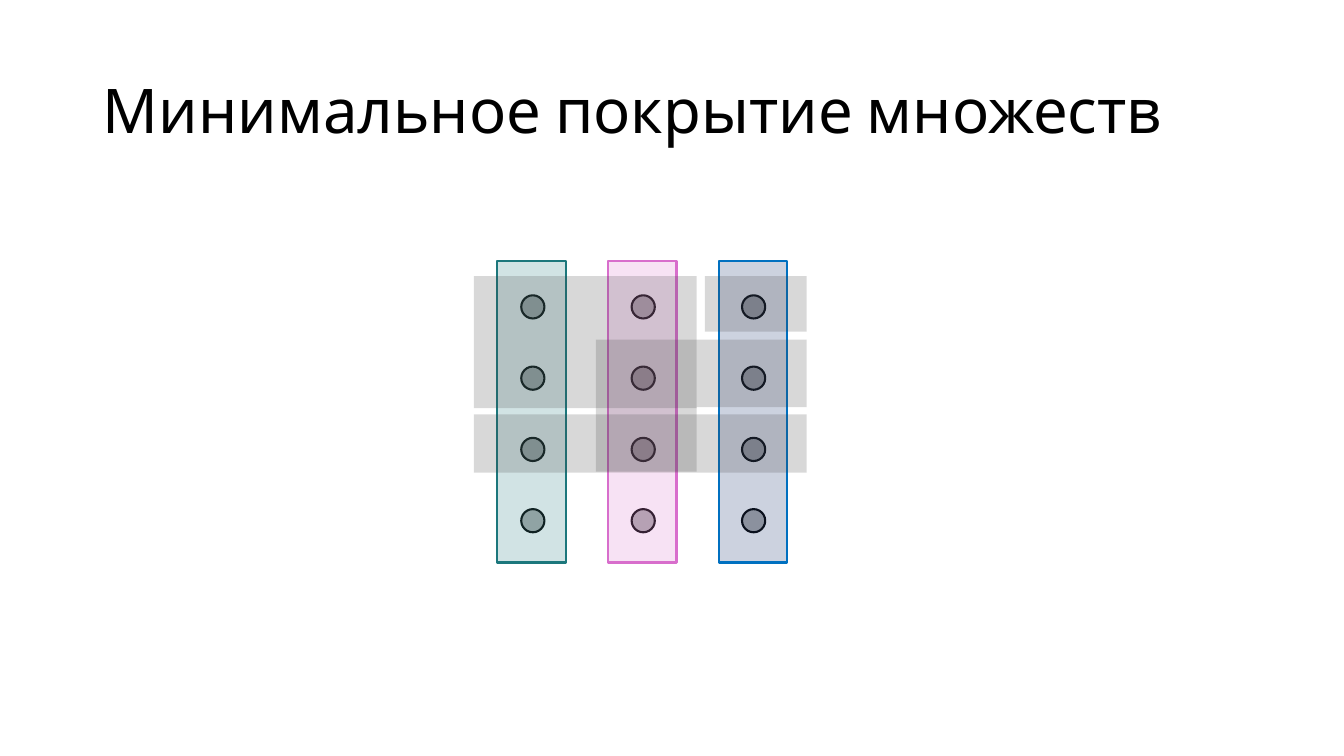
"""Build a slide on minimum set cover: a grid of points under sets."""
from dataclasses import dataclass

from lxml import etree
from pptx import Presentation
from pptx.dml.color import RGBColor
from pptx.enum.shapes import MSO_SHAPE
from pptx.enum.text import MSO_ANCHOR, MSO_AUTO_SIZE, PP_ALIGN
from pptx.oxml.ns import qn
from pptx.util import Inches, Pt

RECT, OVAL = MSO_SHAPE.RECTANGLE, MSO_SHAPE.OVAL
MIDDLE, LEFT, FIXED = MSO_ANCHOR.MIDDLE, PP_ALIGN.LEFT, MSO_AUTO_SIZE.NONE


@dataclass(frozen=True)
class Theme:
    font: str = "Cabin"
    size: int = 44
    line: float = 1.5
    text: str = "000000"
    point: str = "AEAEAE"
    edge: str = "0D0D0D"
    block: str = "404040"
    cover: tuple = (("1C777C", "1C777C"), ("D86ECC", "D86ECC"), ("002060", "0070C0"))
    alpha: int = 20


theme = Theme()


def add_form(kind, box, fill, edge=None, alpha=100):
    form = slide.shapes.add_shape(kind, *map(Inches, box))
    form.shadow.inherit = False
    form.fill.solid()
    form.fill.fore_color.rgb = RGBColor.from_string(fill)
    if alpha < 100:
        color = form.fill._xPr.find(qn("a:solidFill"))[0]
        etree.SubElement(color, qn("a:alpha")).set("val", str(alpha * 1000))
    if edge:
        form.line.color.rgb = RGBColor.from_string(edge)
        form.line.width = Pt(theme.line)
    else:
        form.line.fill.background()


deck = Presentation()
deck.slide_width, deck.slide_height = Inches(13.33), Inches(7.5)
slide = deck.slides.add_slide(deck.slide_layouts[5])

title = slide.shapes.title
title.left, title.top, title.width, title.height = map(Inches, (0.92, 0.4, 11.5, 1.45))
frame = title.text_frame
frame.text = "Минимальное покрытие множеств"
frame.word_wrap = True
frame.auto_size = FIXED
frame.vertical_anchor = MIDDLE
head = frame.paragraphs[0]
head.alignment = LEFT
head.line_spacing = 0.9
font = head.runs[0].font
font.name, font.size = theme.font, Pt(theme.size)
font.color.rgb = RGBColor.from_string(theme.text)

cols, rows = 3, 4
for row in range(rows):
    for col in range(cols):
        spot = (5.17 + 1.095 * col, 2.93 + 0.707 * row, 0.23, 0.23)
        add_form(OVAL, spot, theme.point, theme.edge)

for col, (fill, edge) in enumerate(theme.cover):
    add_form(RECT, (4.93 + 1.1 * col, 2.59, 0.68, 2.99), fill, edge, theme.alpha)

blocks = (
    (4.7, 2.74, 2.21, 1.31),
    (5.91, 3.37, 1, 1.31),
    (6.91, 3.37, 1.09, 0.67),
    (6.99, 2.74, 1.01, 0.55),
    (4.7, 4.11, 3.3, 0.58),
)
for block in blocks:
    add_form(RECT, block, theme.block, alpha=theme.alpha)

deck.save("out.pptx")
